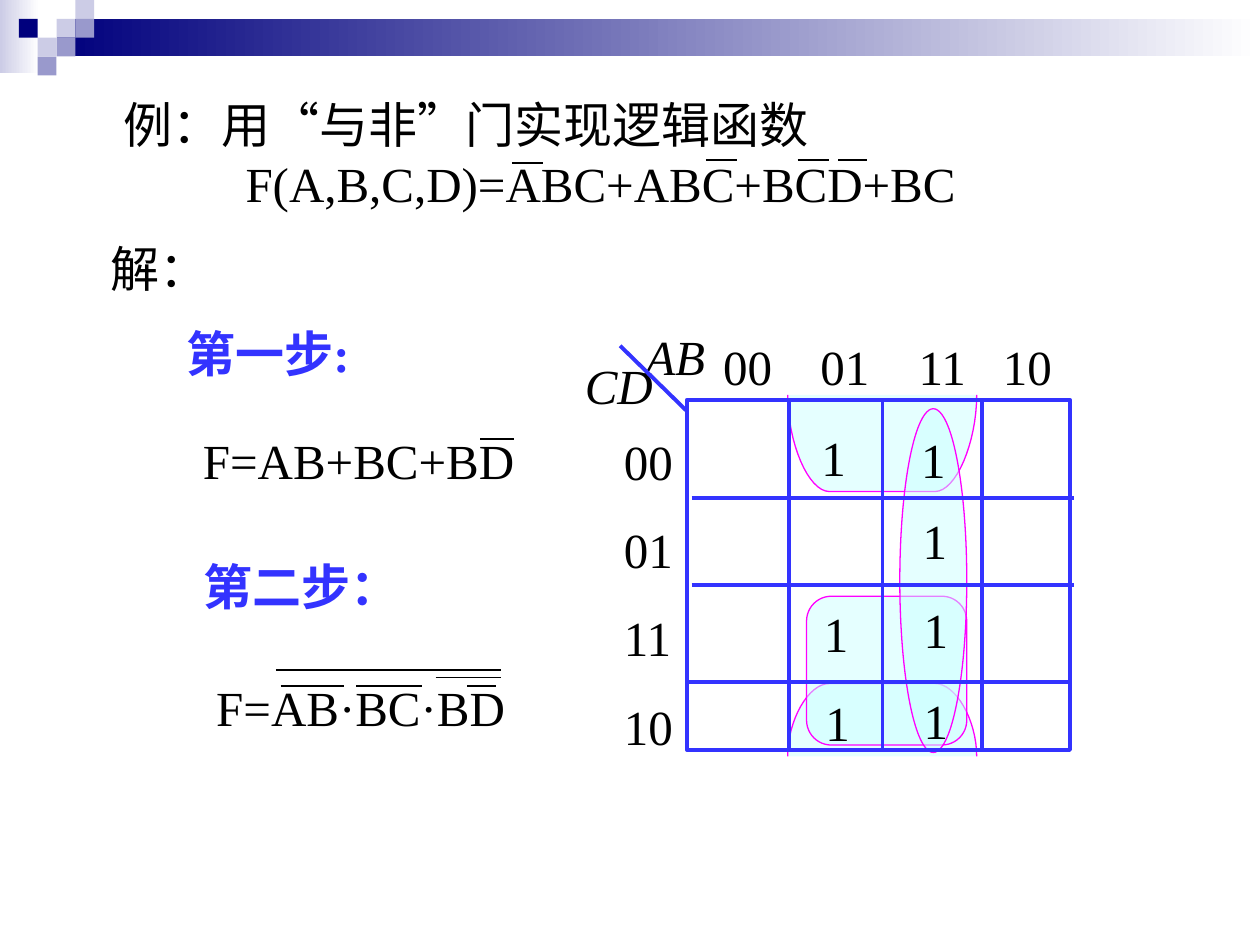
from lxml import etree
from pptx import Presentation
from pptx.dml.color import RGBColor
from pptx.enum.shapes import MSO_CONNECTOR, MSO_SHAPE
from pptx.enum.text import PP_ALIGN
from pptx.oxml.ns import qn
from pptx.util import Cm, Pt

RECTANGLE = MSO_SHAPE.RECTANGLE
ROUNDED = MSO_SHAPE.ROUNDED_RECTANGLE
OVAL = MSO_SHAPE.OVAL
STRAIGHT = MSO_CONNECTOR.STRAIGHT
LEFT = PP_ALIGN.LEFT

BLACK, NAVY, LAVENDER, PERIWINKLE = "000000", "00007D", "CCCCE6", "9999CC"
BLUE, MAGENTA, CYAN, WHITE = "3333FF", "FF00FF", "CCFFFF", "FFFFFF"
LINE_HEIGHT = 1.45


def color(value):
    """Turn a hex string into a colour."""
    return RGBColor.from_string(value)


def add_label(slide, left, top, width, text, height=LINE_HEIGHT, ink=BLACK,
              bold=False, italic=False, wrap=False, spacing=None):
    """Place left-aligned 28 pt text and return its text frame."""
    frame = slide.shapes.add_textbox(Cm(left), Cm(top), Cm(width), Cm(height)).text_frame
    frame.text = text
    frame.word_wrap = wrap
    for paragraph in frame.paragraphs:
        paragraph.alignment = LEFT
        if spacing:
            paragraph.line_spacing = spacing
        for run in paragraph.runs:
            run.font.name = "Times New Roman"
            run.font.size = Pt(28)
            run.font.bold = bold
            run.font.italic = italic
            run.font.color.rgb = color(ink)
    return frame


def add_rule(slide, x1, y1, x2, y2, ink=BLACK, weight=1):
    """Draw a straight line without shadow."""
    rule = slide.shapes.add_connector(STRAIGHT, Cm(x1), Cm(y1), Cm(x2), Cm(y2))
    rule.line.color.rgb = color(ink)
    rule.line.width = Pt(weight)
    etree.SubElement(rule._element.spPr, qn("a:effectLst"))


def add_block(slide, left, top, width, height, start, end=None):
    """Draw a borderless rectangle, plain or fading to the right."""
    block = slide.shapes.add_shape(RECTANGLE, Cm(left), Cm(top), Cm(width), Cm(height))
    block.shadow.inherit = False
    block.line.fill.background()
    if end:
        block.fill.gradient()
        block.fill.gradient_angle = 0
        for stop, ink in zip(block.fill.gradient_stops, (start, end)):
            stop.color.rgb = color(ink)
    else:
        block.fill.solid()
        block.fill.fore_color.rgb = color(start)


def style_loop(loop):
    """Give a grouping loop a half-transparent fill and a thin outline."""
    loop.shadow.inherit = False
    loop.fill.solid()
    loop.fill.fore_color.rgb = color(CYAN)
    tint = loop._element.spPr.find(".//" + qn("a:srgbClr"))
    etree.SubElement(tint, qn("a:alpha")).set("val", "50000")
    loop.line.color.rgb = color(MAGENTA)
    loop.line.width = Pt(0.75)


def add_half_loop(slide, left, edge, width, depth):
    """Draw a loop that is open at the given edge of the map."""
    shoulder, steps = 0.84, 16
    curve = []
    for step in range(steps + 1):
        t = step / steps
        x = 3 * (1 - t) * t**2 * shoulder / 2 + t**3 * shoulder
        y = depth * (1.5 * (1 - t) ** 2 * t + 3 * (1 - t) * t**2 + t**3)
        curve.append((x, y))
    outline = curve + [(width - x, y) for x, y in reversed(curve)]
    points = [(Cm(left + x), Cm(edge + y)) for x, y in outline]
    builder = slide.shapes.build_freeform(*points[0])
    builder.add_line_segments(points[1:], close=False)
    style_loop(builder.convert_to_shape())


def add_banner(slide, left, top):
    """Draw the fading bar and the mosaic in the top corner."""
    unit = 0.38
    add_block(slide, left, top, 0.79, 1.47, LAVENDER, WHITE)
    add_block(slide, left + 3 * unit, top + unit, 24.26, 2 * unit, NAVY, WHITE)
    tiles = [(3, 1, LAVENDER), (4, 0, LAVENDER), (4, 1, PERIWINKLE), (2, 2, LAVENDER),
             (1, 1, NAVY), (3, 2, PERIWINKLE), (2, 3, PERIWINKLE)]
    for column, row, ink in tiles:
        add_block(slide, left + column * unit, top + row * unit, unit, unit, ink)


def add_formula(slide, left, top, width, text, bars, **layout):
    """Place a formula with negation bars given as start, end and height."""
    frame = add_label(slide, left, top, width, text, **layout)
    for start, end, height in bars:
        add_rule(slide, left + start, top + height, left + end, top + height)
    return frame


def add_problem(slide, left, top, width):
    """State the task, with the function indented below it."""
    bars = [(8.08, 8.71, 1.5), (11.99, 12.62, 1.45), (13.84, 14.48, 1.45), (14.66, 15.24, 1.45)]
    frame = add_formula(slide, left, top, width,
                        "例：用“与非”门实现逻辑函数\nF(A,B,C,D)=ABC+ABC+BCD+BC",
                        bars, height=2.64, wrap=True)
    properties = frame.paragraphs[1]._p.get_or_add_pPr()
    properties.set("marL", str(Cm(2.46)))
    properties.set("indent", "0")


def add_solution(slide, left, top):
    """Place the solution heading, the two steps and their formulas."""
    add_label(slide, left, top, 2.46, "解：")
    add_label(slide, left + 1.53, top + 1.7, 4.04, "第一步:", ink=BLUE, bold=True)
    add_formula(slide, left + 1.86, top + 3.86, 6.78, "F=AB+BC+BD", [(5.84, 6.53, 0.3)])
    add_label(slide, left + 1.88, top + 6.4, 6.71, "第二步：", ink=BLUE, bold=True, wrap=True)
    bars = [(1.55, 2.82, 0.3), (3.07, 4.39, 0.3), (5.31, 5.89, 0.3),
            (4.67, 5.99, 0.13), (1.45, 5.99, -0.03)]
    add_formula(slide, left + 2.13, top + 8.84, 6.32, "F=AB·BC·BD", bars)


def add_map_labels(slide, left, top):
    """Label the columns, rows and variables of the map."""
    columns = add_label(slide, left + 0.48, top - 1.4, 7.16, "00\t01\t11\t10", wrap=True)
    tabs = etree.SubElement(columns.paragraphs[0]._p.get_or_add_pPr(), qn("a:tabLst"))
    for position in (1.96, 3.94, 5.64):
        etree.SubElement(tabs, qn("a:tab"), pos=str(Cm(position)), algn="l")
    add_label(slide, left - 1.52, top - 0.08, 1.6, "00\n01\n11\n10",
              height=7.37, wrap=True, spacing=1.5)
    for variable, x, y in (("AB", -1.09, -1.6), ("CD", -2.31, -1.02)):
        add_label(slide, left + x, top + y, 1.9, variable, italic=True)


def add_karnaugh_map(slide, left, top, width, height):
    """Draw the map with its loops, grid, labels and ones."""
    add_half_loop(slide, left + 2.03, top + 7.19, 3.81, -1.47)
    add_half_loop(slide, left + 2.03, top - 0.1, 3.81, 1.95)
    for kind, x, y, w, h in [(ROUNDED, 2.41, 3.96, 3.23, 3), (OVAL, 4.29, 0.18, 1.35, 6.93)]:
        style_loop(slide.shapes.add_shape(kind, Cm(left + x), Cm(top + y), Cm(w), Cm(h)))

    add_map_labels(slide, left, top)

    border = slide.shapes.add_shape(RECTANGLE, Cm(left), Cm(top), Cm(width), Cm(height))
    border.shadow.inherit = False
    border.fill.background()
    border.line.color.rgb = color(BLUE)
    border.line.width = Pt(2.25)
    for x in (2.06, 3.94, 5.94):
        add_rule(slide, left + x, top, left + x, top + height, BLUE, 2.25)
    for y, shift in ((1.98, 0.09), (3.73, 0.09), (5.69, 0)):
        add_rule(slide, left + shift, top + y, left + width + shift, top + y, BLUE, 2.25)
    add_rule(slide, left - 1.35, top - 1.09, left, top + 0.23, BLUE, 2.25)

    ones = [(2.54, 5.77), (4.52, 5.74), (2.51, 3.99), (4.52, 3.91),
            (4.47, 0.48), (2.46, 0.43), (4.5, 2.11)]
    for x, y in ones:
        add_label(slide, left + x, top + y, 0.99, "1")


def main():
    """Build the slide and save it."""
    deck = Presentation()
    deck.slide_width, deck.slide_height = Cm(25.4), Cm(19.05)
    slide = deck.slides.add_slide(deck.slide_layouts[6])
    add_banner(slide, 0, 0)
    add_problem(slide, 2.24, 1.78, 17.5)
    add_solution(slide, 1.98, 4.69)
    add_karnaugh_map(slide, 13.85, 8.06, 7.72, 7.06)
    deck.save("out.pptx")


if __name__ == "__main__":
    main()
